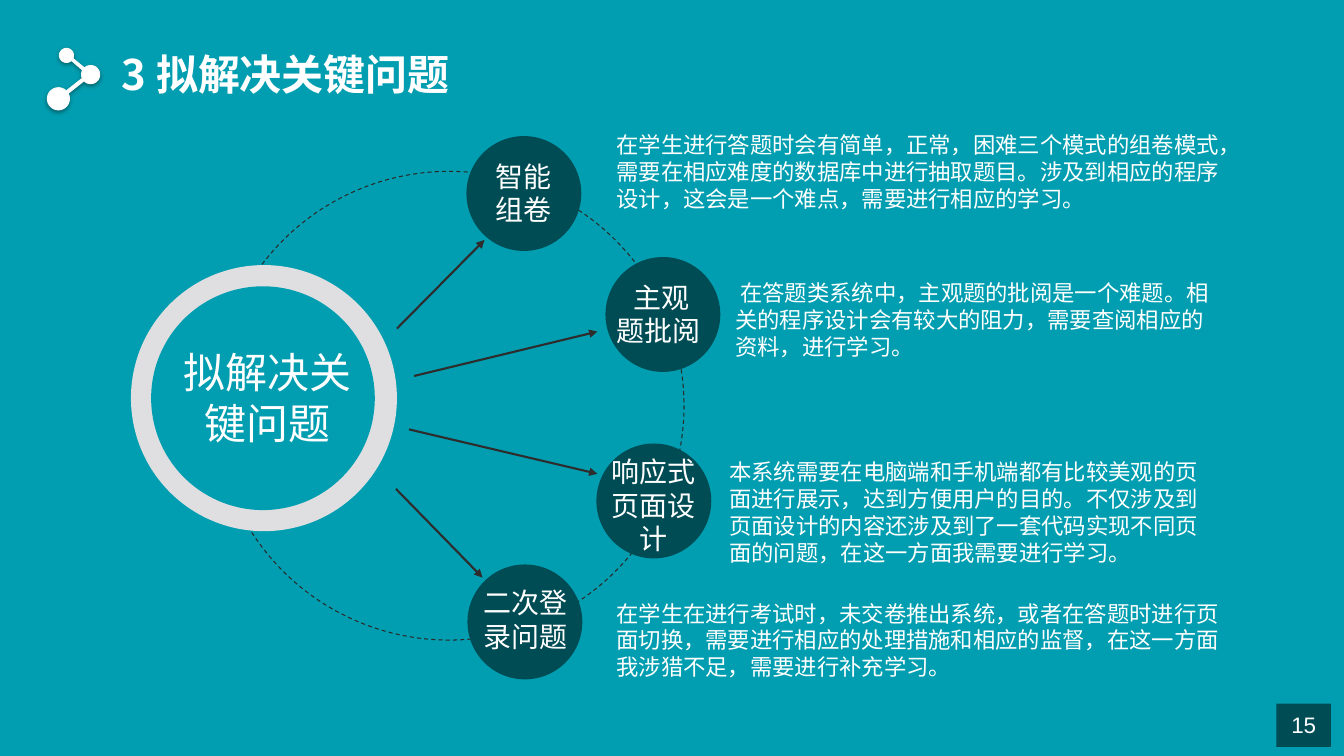
"""Build the slide on the key problems to be solved."""
from dataclasses import dataclass
from math import cos, radians, sin

from lxml.etree import SubElement
from pptx import Presentation
from pptx.dml.color import RGBColor
from pptx.enum.dml import MSO_LINE
from pptx.enum.shapes import MSO_CONNECTOR, MSO_SHAPE
from pptx.enum.text import PP_ALIGN
from pptx.oxml.ns import qn
from pptx.shapes.autoshape import Shape
from pptx.slide import Slide
from pptx.util import Inches, Pt

Point = tuple[float, float]
Bounds = tuple[float, float, float, float]


@dataclass(frozen=True)
class Theme:
    """Colours, fonts and type sizes of the slide."""
    background: str = "009EB0"
    dark: str = "004C54"
    ring: str = "DFDFE1"
    orbit: str = "292929"
    arrow: str = "2E2C2C"
    white: str = "FFFFFF"
    icon_edge: str = "F9F9F9"
    font: str = "Noto Sans CJK SC"
    number_font: str = "Arial"
    heading: int = 30
    label: int = 20
    body: int = 16
    leading: float = 1.2


@dataclass(frozen=True)
class Topic:
    """A dark disc with its label, its arrow from the hub and its note."""
    disc: Point
    label: str
    label_bounds: Bounds
    arrow_tip: Point
    arrow_foot: Point
    note: str
    note_bounds: Bounds


@dataclass(frozen=True)
class Arc:
    """A clockwise stretch of a circle, in inches and degrees."""
    center: Point
    radius: float
    start: int
    stop: int

    def points(self, steps: int = 24) -> list[Point]:
        """Return evenly spaced points along the arc."""
        angles = [radians(self.start + (self.stop - self.start) * i / steps)
                  for i in range(steps + 1)]
        x, y = self.center
        return [(x + self.radius * cos(a), y + self.radius * sin(a)) for a in angles]


THEME = Theme()
DISC_SIZE = 1.14
LARGE_NODE, RIGHT_NODE, SMALL_NODE = (0.58, 0.98), (0.9, 0.74), (0.66, 0.55)
ICON_ARCS = [
    Arc(LARGE_NODE, 0.11, -29, 315),
    Arc(RIGHT_NODE, 0.09, 156, 209),
    Arc(SMALL_NODE, 0.07, 45, 385),
    Arc(RIGHT_NODE, 0.09, 227, 497),
]
TOPICS = [
    Topic((4.63, 1.35), "智能组卷", (4.75, 1.53, 0.89, 0.77), (4.81, 2.38), (3.94, 3.26),
          "在学生进行答题时会有简单，正常，困难三个模式的组卷模式，需要在相应难度的数据库中进行抽取题目。"
          "涉及到相应的程序设计，这会是一个难点，需要进行相应的学习。", (6.02, 1.25, 6.39, 0.91)),
    Topic((6.01, 2.55), " 主观题批阅", (6.01, 2.73, 1.05, 0.77), (5.93, 3.29), (4.11, 3.73),
          " 在答题类系统中，主观题的批阅是一个难题。相关的程序设计会有较大的阻力，"
          "需要查阅相应的资料，进行学习。", (7.2, 2.72, 4.95, 0.91)),
    Topic((5.92, 4.4), "响应式页面设计", (5.91, 4.46, 1.15, 1.11), (5.93, 4.7), (4.06, 4.26),
          "本系统需要在电脑端和手机端都有比较美观的页面进行展示，达到方便用户的目的。"
          "不仅涉及到页面设计的内容还涉及到了一套代码实现不同页面的问题，"
          "在这一方面我需要进行学习。", (7.14, 4.5, 4.95, 1.18)),
    Topic((4.64, 5.6), "二次登录问题", (4.68, 5.76, 1.07, 0.77), (4.79, 5.73), (3.93, 4.85),
          "在学生在进行考试时，未交卷推出系统，或者在答题时进行页面切换，"
          "需要进行相应的处理措施和相应的监督，在这一方面我涉猎不足，需要进行补充学习。",
          (6.02, 5.9, 6.39, 0.91)),
]


def add_solid(page: Slide, kind: MSO_SHAPE, bounds: Bounds, color: str) -> Shape:
    """Add a filled shape without an outline."""
    shape = page.shapes.add_shape(kind, *map(Inches, bounds))
    shape.shadow.inherit = False
    shape.fill.solid()
    shape.fill.fore_color.rgb = RGBColor.from_string(color)
    shape.line.fill.background()
    return shape


def add_text(page: Slide, text: str, bounds: Bounds, size: int, *, centered: bool = False,
             bold: bool = False, font: str = THEME.font) -> None:
    """Add a wrapped white text box with one paragraph."""
    box = page.shapes.add_textbox(*map(Inches, bounds))
    box.text_frame.word_wrap = True
    para = box.text_frame.paragraphs[0]
    para.text = text
    para.alignment = PP_ALIGN.CENTER if centered else PP_ALIGN.LEFT
    para.line_spacing = Pt(size * THEME.leading)
    span = para.runs[0]
    span.font.name = font
    span.font.size = Pt(size)
    span.font.bold = bold
    span.font.color.rgb = RGBColor.from_string(THEME.white)
    SubElement(span.font._element, qn("a:ea"), typeface=font)


def add_orbit(page: Slide) -> None:
    """Add the dashed circle behind the discs."""
    orbit = add_solid(page, MSO_SHAPE.OVAL, (2.13, 1.7, 4.66, 4.65), THEME.background)
    orbit.fill.background()
    orbit.line.color.rgb = RGBColor.from_string(THEME.orbit)
    orbit.line.width = Pt(0)
    orbit.line.dash_style = MSO_LINE.DASH


def add_arrow(page: Slide, tip: Point, foot: Point) -> None:
    """Add a straight arrow whose head sits at the tip."""
    arrow = page.shapes.add_connector(MSO_CONNECTOR.STRAIGHT, *map(Inches, (*tip, *foot)))
    arrow.line.color.rgb = RGBColor.from_string(THEME.arrow)
    arrow.line.width = Pt(1.5)
    SubElement(arrow.line._get_or_add_ln(), qn("a:headEnd"), type="triangle")
    SubElement(arrow._element.spPr, qn("a:effectLst"))


def add_icon(page: Slide) -> None:
    """Add the icon of three linked nodes with a soft shadow."""
    outline = [(Inches(x), Inches(y)) for arc in ICON_ARCS for x, y in arc.points()]
    builder = page.shapes.build_freeform(*outline[0])
    builder.add_line_segments(outline[1:], close=True)
    icon = builder.convert_to_shape()
    icon.fill.solid()
    icon.fill.fore_color.rgb = RGBColor.from_string(THEME.white)
    icon.line.color.rgb = RGBColor.from_string(THEME.icon_edge)
    icon.line.width = Pt(0.75)
    effects = SubElement(icon._element.spPr, qn("a:effectLst"))
    shadow = SubElement(effects, qn("a:outerShdw"), blurRad=str(Pt(3.1)), dist=str(Pt(1.6)),
                        dir="5400000", rotWithShape="0")
    color = SubElement(shadow, qn("a:srgbClr"), val="000000")
    SubElement(color, qn("a:alpha"), val="38000")


def add_hub(page: Slide) -> None:
    """Add the ring with the central theme."""
    add_solid(page, MSO_SHAPE.OVAL, (1.3, 2.63, 2.64, 2.64), THEME.ring)
    add_solid(page, MSO_SHAPE.OVAL, (1.5, 2.84, 2.22, 2.22), THEME.background)
    add_text(page, "拟解决关键问题", (1.72, 3.39, 1.87, 1.11), THEME.heading, centered=True)


def main() -> None:
    """Draw the slide and save the deck."""
    deck = Presentation()
    deck.slide_width, deck.slide_height = Inches(13.34), Inches(7.5)
    page = deck.slides.add_slide(deck.slide_layouts[6])
    page.background.fill.solid()
    page.background.fill.fore_color.rgb = RGBColor.from_string(THEME.background)

    add_solid(page, MSO_SHAPE.RECTANGLE, (12.67, 6.98, 0.54, 0.43), THEME.dark)
    add_text(page, "15", (12.7, 7.01, 0.48, 0.37), THEME.body, centered=True,
             font=THEME.number_font)
    add_orbit(page)
    add_hub(page)
    for topic in TOPICS:
        add_arrow(page, topic.arrow_tip, topic.arrow_foot)
        add_solid(page, MSO_SHAPE.OVAL, (*topic.disc, DISC_SIZE, DISC_SIZE), THEME.dark)
        add_text(page, topic.label, topic.label_bounds, THEME.label, centered=True)
        add_text(page, topic.note, topic.note_bounds, THEME.body)
    add_text(page, "3 拟解决关键问题", (1.11, 0.43, 3.62, 0.6), THEME.heading, bold=True)
    add_icon(page)
    deck.save("out.pptx")


if __name__ == "__main__":
    main()
